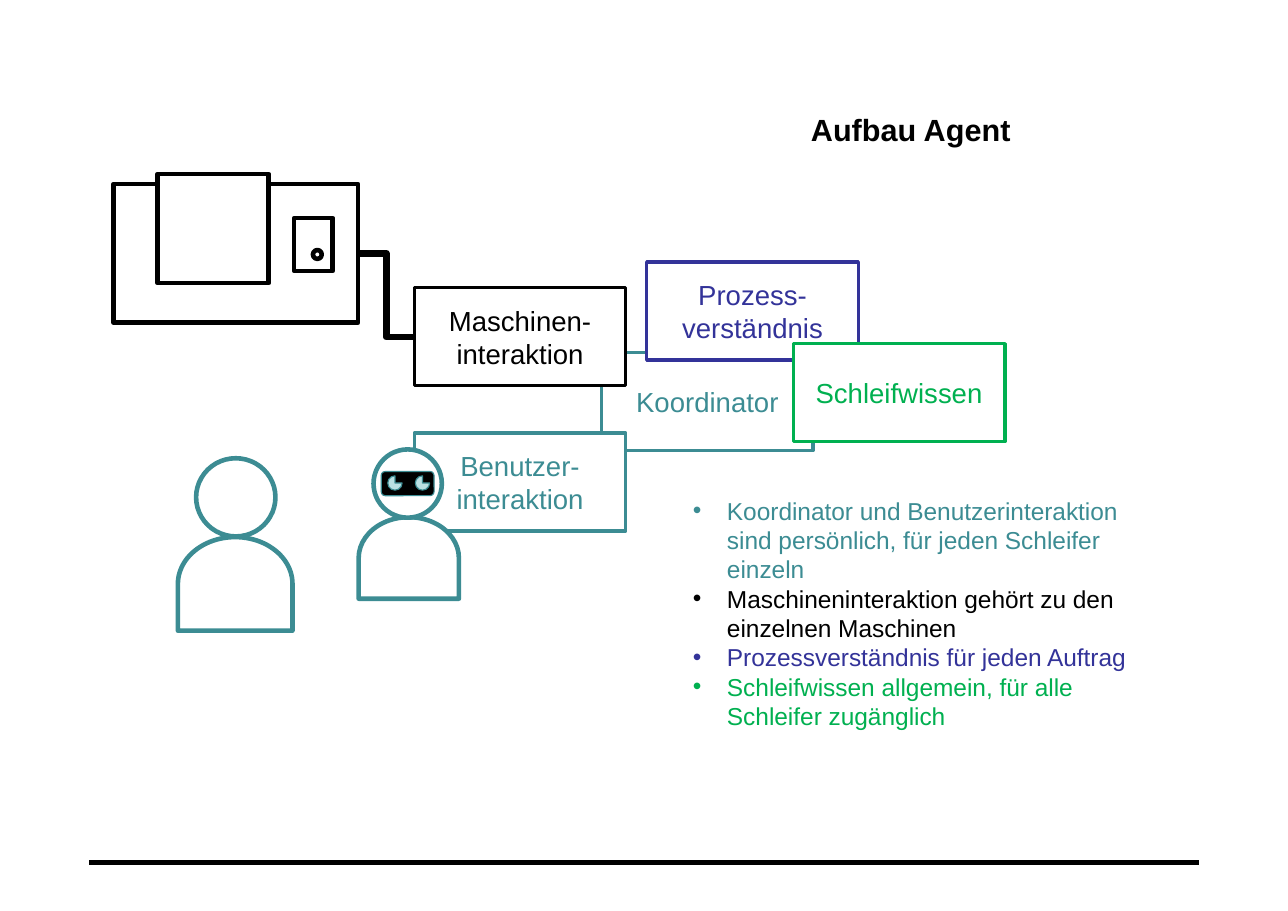
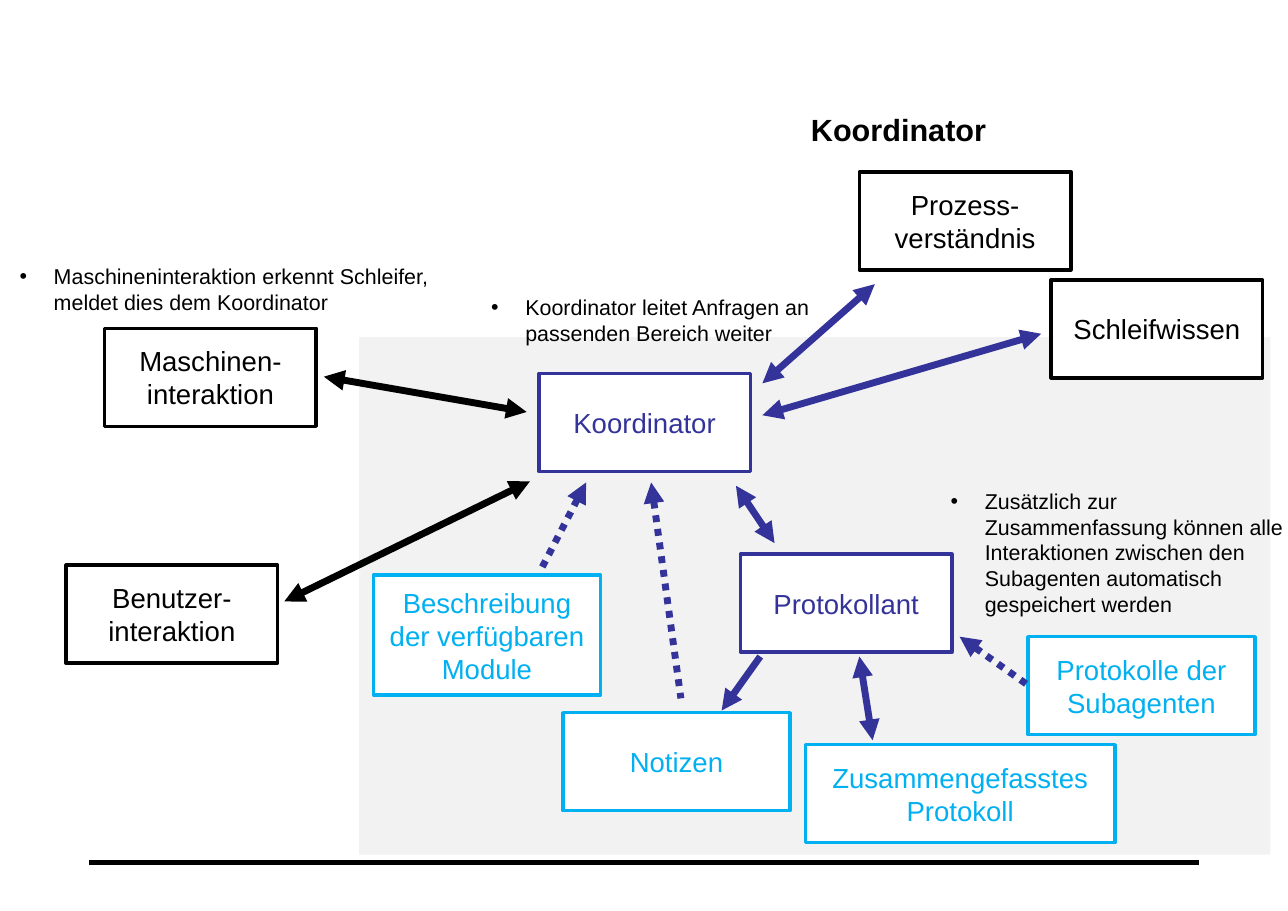
from lxml.etree import SubElement
from pptx import Presentation
from pptx.dml.color import RGBColor
from pptx.enum.dml import MSO_LINE
from pptx.enum.shapes import MSO_CONNECTOR, MSO_SHAPE
from pptx.enum.text import MSO_ANCHOR, MSO_AUTO_SIZE, PP_ALIGN
from pptx.oxml.ns import qn
from pptx.util import Inches, Pt

FONT = "Arial"
BLACK, WHITE, GREY = "000000", "FFFFFF", "F2F2F2"
TEAL, INDIGO, GREEN = "3C8C93", "333399", "00B050"
CYAN, EYE = "00B0F0", "BBE0E3"
BOX_WIDTH, WIDE, BOX_HEIGHT = 1.92, 2.06, 0.89
BOX_LINE, FIGURE_LINE, ARROW_LINE, THIN_LINE = 2.25, 3, 4.5, 0.75
RULE = (0.81, 7.83, 10.88, 7.83)
TITLE_PLACE = (7.36, 1.01, 3.52, 0.5)
PANEL = (3.26, 3.06, 8.27, 4.7)
CABLE = (3.25, 2.3, 3.76, 3.06)

MACHINE = [
    (MSO_SHAPE.RECTANGLE, (1.03, 1.67, 2.22, 1.26)),
    (MSO_SHAPE.RECTANGLE, (1.43, 1.58, 1.01, 0.99)),
    (MSO_SHAPE.RECTANGLE, (2.67, 1.98, 0.35, 0.48)),
    (MSO_SHAPE.OVAL, (2.84, 2.27, 0.08, 0.08)),
]
USER = {"body": (1.71, 4.78, 0.85, 1.04), "head": (1.78, 4.16, 0.72, 0.71)}
ROBOT = {"body": (3.34, 4.61, 0.74, 0.91), "head": (3.39, 4.08, 0.62, 0.62)}
VISOR = (3.46, 4.28, 0.48, 0.22)
EYES = [(left, 4.32, 0.13, 0.13) for left in (3.77, 3.52)]

AGENT_BOXES = [
    ("Koordinator", 5.46, 3.2, TEAL),
    ("Benutzer-interaktion", 3.76, 3.93, TEAL),
    ("Prozess-verständnis", 5.87, 2.38, INDIGO),
    ("Schleifwissen", 7.2, 3.12, GREEN),
    ("Maschinen-interaktion", 3.76, 2.61, BLACK),
]
AGENT_NOTES = [
    ("Koordinator und Benutzerinteraktion sind persönlich, für jeden Schleifer einzeln", TEAL),
    ("Maschineninteraktion gehört zu den einzelnen Maschinen", BLACK),
    ("Prozessverständnis für jeden Auftrag", INDIGO),
    ("Schleifwissen allgemein, für alle Schleifer zugänglich", GREEN),
]

COORDINATOR_BOXES = [
    ("Koordinator", 4.89, 3.39, INDIGO),
    ("Benutzer-interaktion", 0.6, 5.13, BLACK),
    ("Prozess-verständnis", 7.8, 1.56, BLACK),
    ("Schleifwissen", 9.54, 2.54, BLACK),
    ("Maschinen-interaktion", 0.95, 2.98, BLACK),
    ("Protokollant", 6.72, 5.03, INDIGO),
    ("Notizen", 5.11, 6.47, CYAN, WIDE),
    ("Zusammengefasstes Protokoll", 7.31, 6.76, CYAN, 2.81),
    ("Beschreibung der verfügbaren Module", 3.39, 5.22, CYAN, WIDE, 1.09),
    ("Protokolle der Subagenten", 9.33, 5.78, CYAN, WIDE),
]
COORDINATOR_NOTES = [
    ("Koordinator leitet Anfragen an passenden Bereich weiter", (4.36, 2.62, 3.77, 0.57)),
    ("Zusätzlich zur Zusammenfassung können alle Interaktionen zwischen den "
     "Subagenten automatisch gespeichert werden", (8.53, 4.38, 3.25, 1.28)),
    ("Maschineninteraktion erkennt Schleifer, meldet dies dem Koordinator",
     (0.08, 2.34, 4.17, 0.57)),
]
BOTH, START, END = ("headEnd", "tailEnd"), ("headEnd",), ("tailEnd",)
ARROWS = [
    ((2.94, 3.42, 4.78, 3.74), BLACK, BOTH, None),
    ((2.58, 5.46, 4.81, 4.37), BLACK, BOTH, None),
    ((6.92, 3.48, 7.94, 2.58), INDIGO, BOTH, None),
    ((6.92, 3.77, 9.45, 3.03), INDIGO, BOTH, None),
    ((6.68, 4.41, 7.03, 4.93), INDIGO, BOTH, None),
    ((7.8, 5.96, 7.92, 6.72), INDIGO, BOTH, None),
    ((6.9, 5.96, 6.55, 6.45), INDIGO, END, None),
    ((5.91, 4.38, 6.18, 6.34), INDIGO, START, MSO_LINE.ROUND_DOT),
    ((5.32, 4.38, 4.9, 5.19), INDIGO, START, MSO_LINE.ROUND_DOT),
    ((8.71, 5.78, 9.33, 6.22), INDIGO, START, MSO_LINE.ROUND_DOT),
]


def colour(value):
    return RGBColor.from_string(value)


def inches(values):
    return [Inches(value) for value in values]


def apply(target, values):
    for name, value in values.items():
        setattr(target, name, value)


def write(paragraph, text, size, ink, bold=False):
    span = paragraph.add_run()
    span.text = text
    apply(span.font, {"name": FONT, "size": Pt(size), "bold": bold})
    span.font.color.rgb = colour(ink)


def add_shape(parent, kind, place, fill, ink=None, width=FIGURE_LINE):
    shape = parent.shapes.add_shape(kind, *inches(place))
    shape.shadow.inherit = False
    shape.fill.solid()
    shape.fill.fore_color.rgb = colour(fill)
    if ink:
        shape.line.color.rgb = colour(ink)
        shape.line.width = Pt(width)
    else:
        shape.line.fill.background()
    return shape


def add_line(page, ends, ink, width, arrows=(), dash=None, kind=MSO_CONNECTOR.STRAIGHT):
    line = page.shapes.add_connector(kind, *inches(ends))
    line.line.color.rgb = colour(ink)
    line.line.width = Pt(width)
    if dash:
        line.line.dash_style = dash
    properties = line.element.spPr
    outline = properties.find(qn("a:ln"))
    for end in arrows:
        SubElement(outline, qn(f"a:{end}"), type="triangle")
    SubElement(properties, qn("a:effectLst"))
    return line


def add_box(page, label, left, top, ink, width=BOX_WIDTH, height=BOX_HEIGHT):
    box = add_shape(page, MSO_SHAPE.RECTANGLE, (left, top, width, height), WHITE, ink, BOX_LINE)
    apply(box.text_frame, {"word_wrap": True, "vertical_anchor": MSO_ANCHOR.MIDDLE})
    paragraph = box.text_frame.paragraphs[0]
    paragraph.alignment = PP_ALIGN.CENTER
    write(paragraph, label, 18, ink)


def add_bullets(page, place, items, size):
    frame = page.shapes.add_textbox(*inches(place)).text_frame
    apply(frame, {"word_wrap": True, "auto_size": MSO_AUTO_SIZE.SHAPE_TO_FIT_TEXT})
    for index, (text, ink) in enumerate(items):
        paragraph = frame.add_paragraph() if index else frame.paragraphs[0]
        properties = paragraph._p.get_or_add_pPr()
        properties.set("marL", str(Inches(0.31)))
        properties.set("indent", str(-Inches(0.31)))
        SubElement(properties, qn("a:buFont"), typeface=FONT)
        SubElement(properties, qn("a:buChar"), char="•")
        write(paragraph, text, size, ink)


def add_person(page, person):
    group = page.shapes.add_group_shape()
    body = add_shape(group, MSO_SHAPE.FLOWCHART_DELAY, person["body"], WHITE, TEAL)
    body.rotation = 270
    add_shape(group, MSO_SHAPE.FLOWCHART_CONNECTOR, person["head"], WHITE, TEAL)
    return group


def add_page(deck, title):
    page = deck.slides.add_slide(deck.slide_layouts[5])
    holder = page.shapes.title
    apply(holder, dict(zip(("left", "top", "width", "height"), inches(TITLE_PLACE))))
    margins = dict.fromkeys(("margin_left", "margin_top", "margin_right", "margin_bottom"), 0)
    apply(holder.text_frame, {
        **margins, "word_wrap": True, "vertical_anchor": MSO_ANCHOR.TOP,
        "auto_size": MSO_AUTO_SIZE.NONE,
    })
    paragraph = holder.text_frame.paragraphs[0]
    paragraph.alignment = PP_ALIGN.LEFT
    write(paragraph, title, 20, BLACK, True)
    return page


def add_rule_to_layout(page):
    rule = add_line(page, RULE, BLACK, FIGURE_LINE).element
    rule.nvCxnSpPr.cNvPr.set("id", "20")
    page.slide_layout.shapes.element.append(rule)


def build_agent(deck):
    page = add_page(deck, "Aufbau Agent")
    add_rule_to_layout(page)
    add_line(page, CABLE, BLACK, ARROW_LINE, kind=MSO_CONNECTOR.ELBOW)
    machine = page.shapes.add_group_shape()
    for kind, place in MACHINE:
        add_shape(machine, kind, place, WHITE, BLACK)
    add_person(page, USER)
    for box in AGENT_BOXES:
        add_box(page, *box)
    add_bullets(page, (6.19, 4.45, 4.23, 2.26), AGENT_NOTES, 16)
    robot = add_person(page, ROBOT)
    add_shape(robot, MSO_SHAPE.ROUNDED_RECTANGLE, VISOR, BLACK, TEAL, THIN_LINE)
    for eye in EYES:
        add_shape(robot, MSO_SHAPE.PIE, eye, EYE, TEAL, THIN_LINE)


def build_coordinator(deck):
    page = add_page(deck, "Koordinator")
    add_shape(page, MSO_SHAPE.RECTANGLE, PANEL, GREY)
    for box in COORDINATOR_BOXES:
        add_box(page, *box)
    for ends, ink, arrows, dash in ARROWS:
        add_line(page, ends, ink, ARROW_LINE, arrows, dash)
    for text, place in COORDINATOR_NOTES:
        add_bullets(page, place, [(text, BLACK)], 14)


def main():
    deck = Presentation()
    apply(deck, {"slide_width": Inches(11.69), "slide_height": Inches(8.27)})
    build_agent(deck)
    build_coordinator(deck)
    deck.save("out.pptx")


if __name__ == "__main__":
    main()
